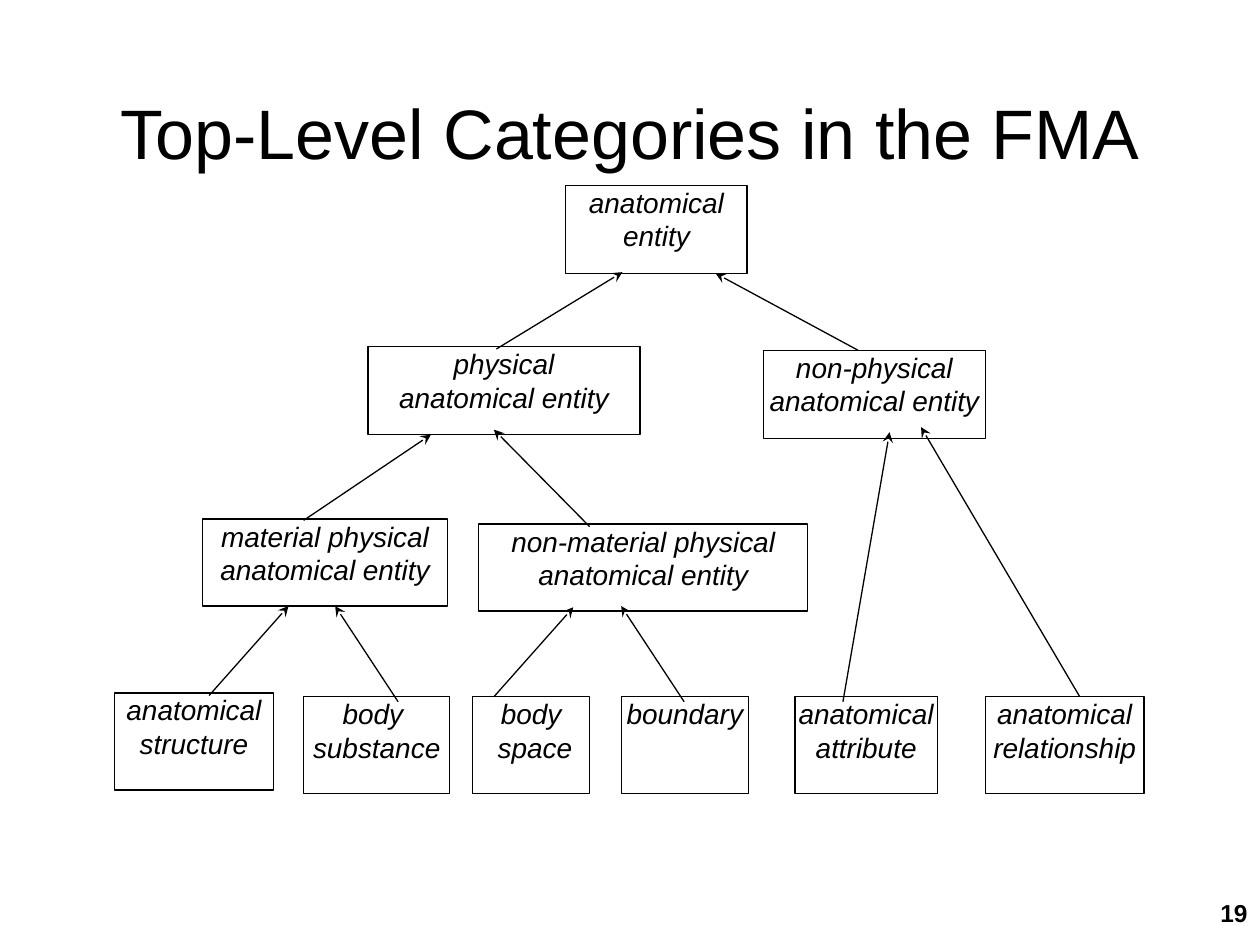
import pptx
import pptx.util
import pptx.dml.color
import pptx.enum.shapes
import pptx.enum.text
import pptx.oxml.ns
import lxml.etree

SCALE = 9144
ALIGN = pptx.enum.text.PP_ALIGN
ANCHOR = pptx.enum.text.MSO_ANCHOR
qn = pptx.oxml.ns.qn


def tint(color, code):
    color.rgb = pptx.dml.color.RGBColor.from_string(code)


def write(shape, words, size, align, anchor, inset, bold=False, italic=False):
    frame = shape.text_frame
    frame.word_wrap = True
    frame.vertical_anchor = anchor
    frame.margin_left = frame.margin_right = inset * 2 * SCALE
    frame.margin_top = frame.margin_bottom = inset * SCALE
    frame.text = words
    for para in frame.paragraphs:
        para.alignment = align
        for run in para.runs:
            run.font.name = "Arial"
            run.font.size = pptx.util.Pt(size)
            run.font.bold = bold
            run.font.italic = italic
            tint(run.font.color, "000000")


deck = pptx.Presentation()
deck.slide_width = 1000 * SCALE
deck.slide_height = 750 * SCALE
slide = deck.slides.add_slide(deck.slide_layouts[6])
shapes = slide.shapes

title = shapes.add_textbox(*[n * SCALE for n in (50, 42, 900, 125)])
write(title, "Top-Level Categories in the FMA", 40, ALIGN.CENTER, ANCHOR.MIDDLE, 5)

boxes = [
    ("anatomical\nentity", 449, 147, 144, 70),
    ("non-physical\nanatomical entity", 606, 278, 176, 70),
    ("physical\nanatomical entity", 292, 275, 216, 70),
    ("anatomical relationship", 782, 553, 126, 77),
    ("body \nsubstance", 241, 553, 116, 77),
    ("material physical anatomical entity", 161, 412, 194, 69),
    ("anatomical structure", 91, 550, 126, 77),
    ("non-material physical anatomical entity", 380, 416, 261, 69),
    ("body\n space", 375, 553, 93, 77),
    ("boundary", 493, 553, 101, 77),
    ("anatomical attribute", 631, 553, 113, 77),
]
for words, *place in boxes:
    box = shapes.add_shape(
        pptx.enum.shapes.MSO_SHAPE.RECTANGLE, *[n * SCALE for n in place]
    )
    box.shadow.inherit = False
    box.fill.solid()
    tint(box.fill.fore_color, "FFFFFF")
    tint(box.line.color, "000000")
    box.line.width = pptx.util.Pt(0.75)
    write(box, words, 16, ALIGN.CENTER, ANCHOR.TOP, 0, italic=True)

links = [
    (494, 216, 394, 277),
    (568, 217, 681, 278),
    (342, 345, 241, 413),
    (229, 481, 166, 552),
    (455, 482, 392, 553),
    (392, 341, 468, 418),
    (706, 343, 669, 557),
    (493, 481, 543, 557),
    (731, 339, 857, 553),
    (266, 481, 316, 557),
]
for ends in links:
    link = shapes.add_connector(
        pptx.enum.shapes.MSO_CONNECTOR.STRAIGHT, *[n * SCALE for n in ends]
    )
    tint(link.line.color, "000000")
    link.line.width = pptx.util.Pt(0.75)
    props = link._element.spPr
    head = lxml.etree.SubElement(props.find(qn("a:ln")), qn("a:headEnd"))
    head.set("type", "stealth")
    lxml.etree.SubElement(props, qn("a:effectLst"))

number = shapes.add_textbox(*[n * SCALE for n in (767, 708, 233, 42)])
write(number, "19", 14, ALIGN.RIGHT, ANCHOR.TOP, 5, bold=True)

deck.save("out.pptx")
